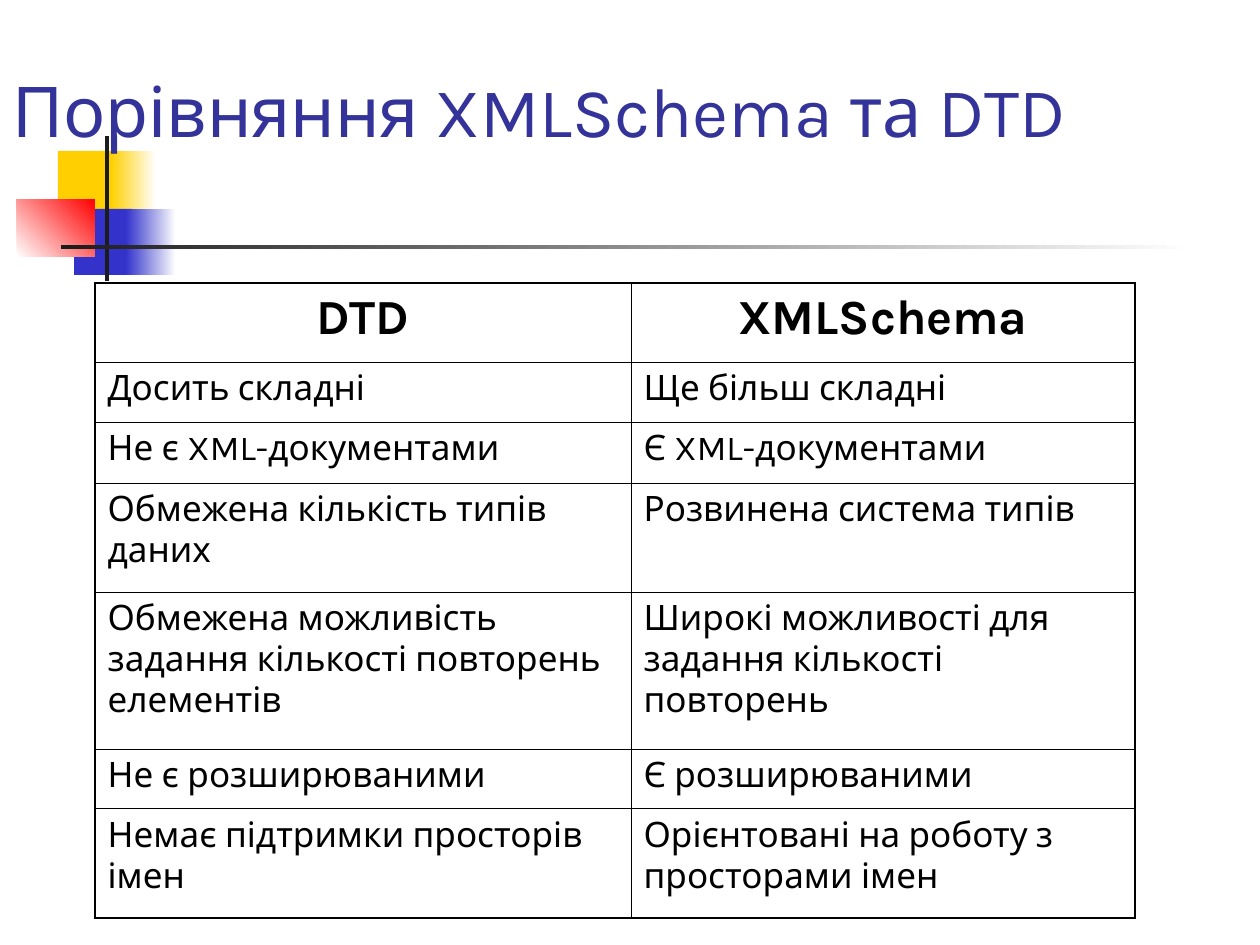
from dataclasses import dataclass
from typing import Optional

from lxml import etree
from pptx import Presentation
from pptx.dml.color import RGBColor
from pptx.enum.shapes import MSO_SHAPE
from pptx.enum.text import MSO_ANCHOR, MSO_AUTO_SIZE, PP_ALIGN
from pptx.oxml.ns import qn
from pptx.util import Emu, Pt

RECTANGLE = MSO_SHAPE.RECTANGLE
BOTTOM = MSO_ANCHOR.BOTTOM
NO_FIT = MSO_AUTO_SIZE.NONE
LEFT, CENTER = PP_ALIGN.LEFT, PP_ALIGN.CENTER

WHITE = RGBColor(0xFF, 0xFF, 0xFF)
BLACK = RGBColor(0x00, 0x00, 0x00)
YELLOW = RGBColor(0xFF, 0xCF, 0x01)
BLUE = RGBColor(0x33, 0x33, 0xCC)
RED = RGBColor(0xFF, 0x00, 0x00)
CHARCOAL = RGBColor(0x1C, 0x1C, 0x1C)
TITLE_BLUE = RGBColor(0x33, 0x33, 0x99)

FONT = "Karla"
TITLE_ONLY = 5
EMU_PER_PX = 914400 / 126
THIN, THICK = Pt(0.45), Pt(1.08)


@dataclass(frozen=True)
class Block:
    left: int
    top: int
    width: int
    height: int
    color: RGBColor
    fade_to: Optional[RGBColor] = None
    angle: int = 0


BLOCKS = [
    Block(58, 151, 60, 66, YELLOW),
    Block(111, 151, 45, 66, YELLOW, WHITE),
    Block(74, 209, 58, 66, BLUE),
    Block(126, 209, 50, 66, BLUE, WHITE),
    Block(17, 199, 78, 58, WHITE, RED, 45),
    Block(105, 136, 4, 145, CHARCOAL),
    Block(61, 245, 1134, 4, CHARCOAL, WHITE),
]

COLUMN_WIDTHS = [536, 504]
ROW_HEIGHTS = [79, 60, 61, 109, 157, 60, 109]
ROWS = [
    ("DTD", "XMLSchema"),
    ("Досить складні", "Ще більш складні"),
    ("Не є XML-документами", "Є XML-документами"),
    ("Обмежена кількість типів даних", "Розвинена система типів"),
    ("Обмежена можливість задання кількості повторень елементів",
     "Широкі можливості для задання кількості повторень"),
    ("Не є розширюваними", "Є розширюваними"),
    ("Немає підтримки просторів імен",
     "Орієнтовані на роботу з просторами імен"),
]


def px(value: int) -> Emu:
    return Emu(round(value * EMU_PER_PX))


def format_text(frame, size: int, color: RGBColor, bold: bool, alignment) -> None:
    for para in frame.paragraphs:
        para.alignment = alignment
        for span in para.runs:
            span.font.name = FONT
            span.font.size = Pt(size)
            span.font.bold = bold
            span.font.color.rgb = color


def draw_block(page, block: Block) -> None:
    box = page.shapes.add_shape(
        RECTANGLE, px(block.left), px(block.top), px(block.width), px(block.height))
    box.shadow.inherit = False
    box.line.fill.background()
    if block.fade_to is None:
        box.fill.solid()
        box.fill.fore_color.rgb = block.color
        return
    box.fill.gradient()
    box.fill.gradient_angle = block.angle
    for stop, color in zip(box.fill.gradient_stops, (block.color, block.fade_to)):
        stop.color.rgb = color


def draw_title(page, text: str) -> None:
    title = page.shapes.title
    title.left, title.top, title.width, title.height = px(0), px(32), px(1105), px(126)
    frame = title.text_frame
    frame.text = text
    frame.auto_size = NO_FIT
    frame.vertical_anchor = BOTTOM
    format_text(frame, 40, TITLE_BLUE, False, LEFT)
    title.element.getparent().append(title.element)


def set_borders(cell, row: int, column: int) -> None:
    outer_sides = {
        "lnL": column == 0,
        "lnR": column == len(COLUMN_WIDTHS) - 1,
        "lnT": row == 0,
        "lnB": row == len(ROWS) - 1,
    }
    properties = cell._tc.get_or_add_tcPr()
    for side, outer in outer_sides.items():
        width = THICK if outer else THIN
        line = etree.SubElement(properties, qn(f"a:{side}"), w=str(int(width)))
        fill = etree.SubElement(line, qn("a:solidFill"))
        etree.SubElement(fill, qn("a:srgbClr"), val=str(BLACK))


def draw_table(page) -> None:
    table = page.shapes.add_table(
        len(ROWS), len(COLUMN_WIDTHS), px(95), px(283),
        px(sum(COLUMN_WIDTHS)), px(sum(ROW_HEIGHTS))).table
    table.first_row = False
    table.horz_banding = False
    for column, width in zip(table.columns, COLUMN_WIDTHS):
        column.width = px(width)
    for row_index, (height, texts) in enumerate(zip(ROW_HEIGHTS, ROWS)):
        table.rows[row_index].height = px(height)
        header = row_index == 0
        for column_index, text in enumerate(texts):
            cell = table.cell(row_index, column_index)
            set_borders(cell, row_index, column_index)
            cell.fill.background()
            frame = cell.text_frame
            frame.text = text
            frame.paragraphs[0].space_before = Pt(7 if header else 5)
            format_text(frame, 28 if header else 20, BLACK, header,
                        CENTER if header else LEFT)


def main() -> None:
    deck = Presentation()
    deck.slide_width, deck.slide_height = px(1260), px(945)
    page = deck.slides.add_slide(deck.slide_layouts[TITLE_ONLY])
    for block in BLOCKS:
        draw_block(page, block)
    draw_title(page, "Порівняння XMLSchema та DTD")
    draw_table(page)
    deck.save("out.pptx")


if __name__ == "__main__":
    main()
